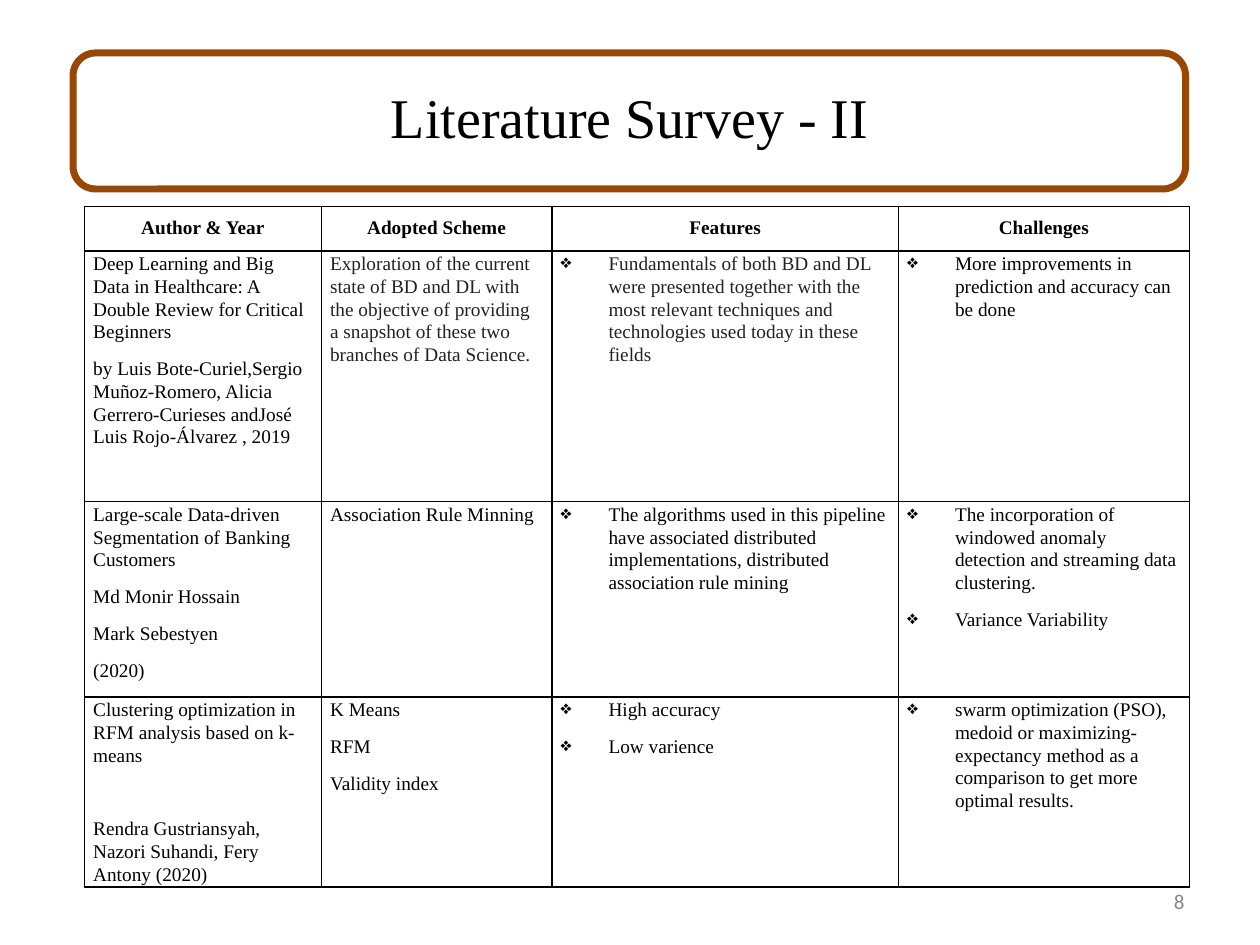
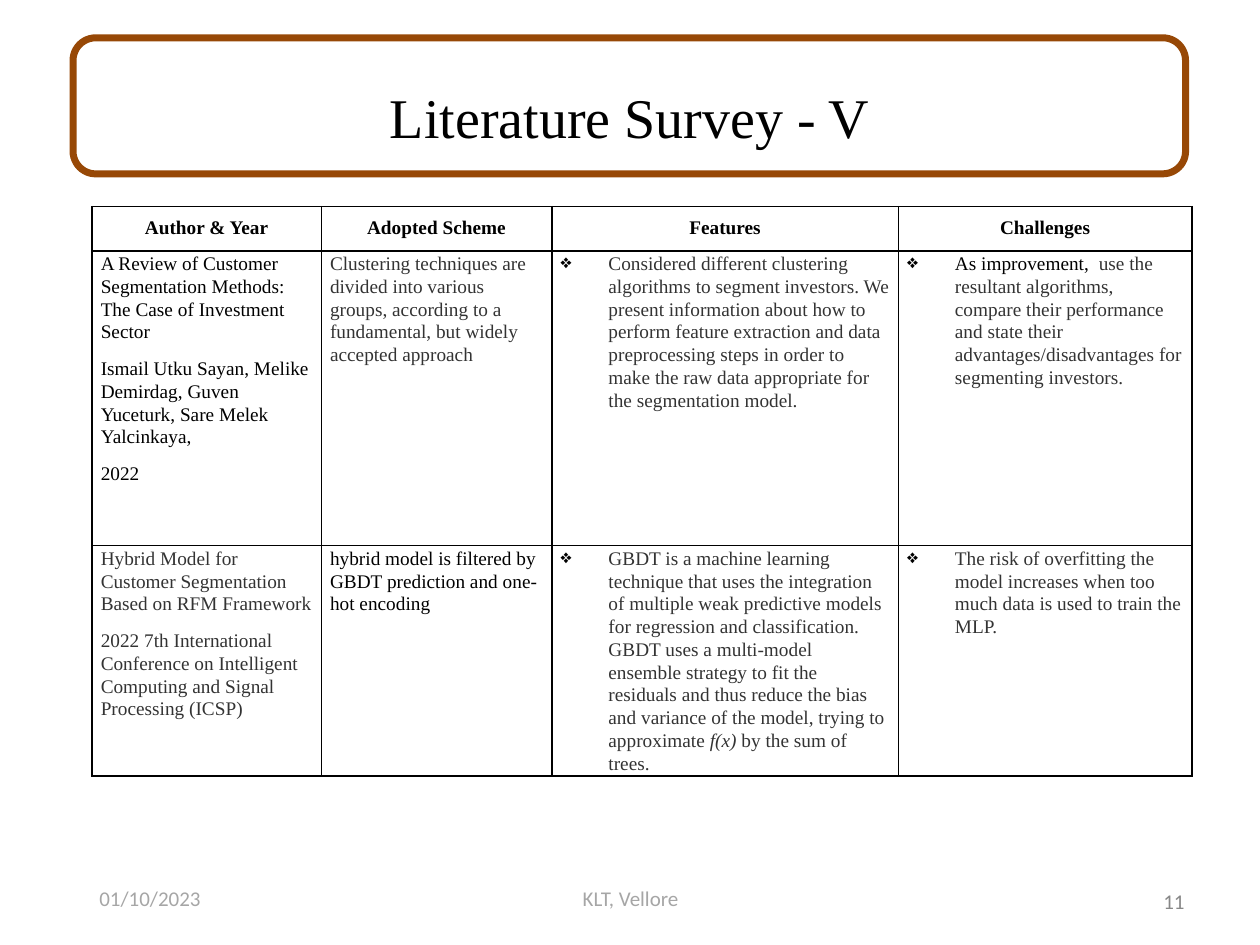
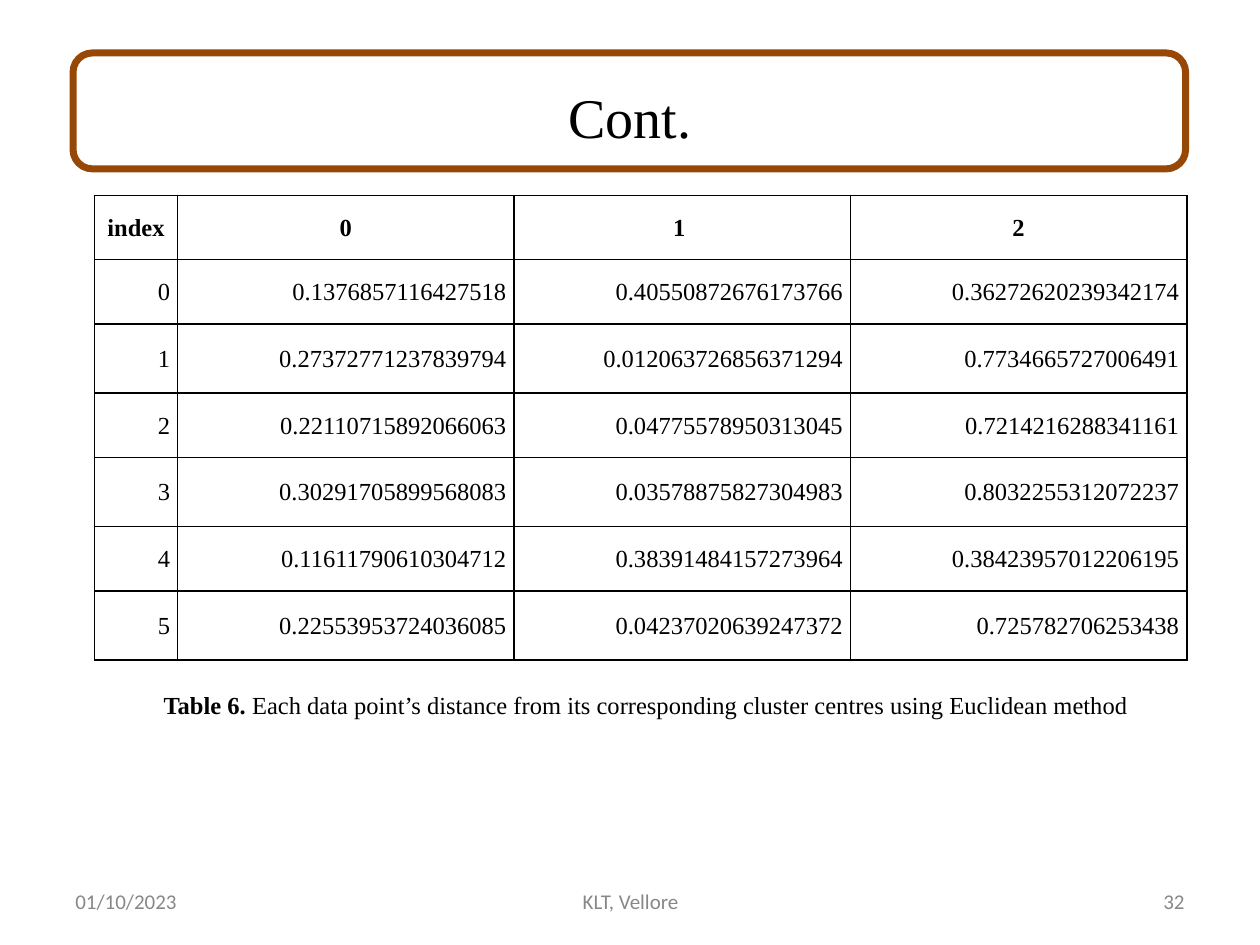
"""Builds two literature survey slides and one distance table slide."""
from lxml.etree import SubElement
from pptx import Presentation
from pptx.dml.color import RGBColor
from pptx.enum.shapes import MSO_SHAPE as SHAPE
from pptx.enum.text import MSO_ANCHOR as ANCHOR, PP_ALIGN as ALIGN
from pptx.oxml.ns import qn
from pptx.util import Inches, Pt

COLORS = {"black": "000000", "dark": "222222", "soft": "333333",
          "frame": "974806", "footer": "888888", "pale": "A6A6A6"}
SERIF, SANS = "Times New Roman", "Calibri"
LINE, GAP, WIDE_GAP = 13, 8, 29
BULLET_COLS = (2, 3)

HEADER = ["Author & Year", "Adopted Scheme", "Features", "Challenges"]

# A cell is (colour, paragraphs); a paragraph is a string or a list of (text, colour, italic).
SURVEY_2 = [
    [("black", ["Deep Learning and Big Data in Healthcare: A Double Review for Critical Beginners",
                "by Luis Bote-Curiel,Sergio Muñoz-Romero, Alicia Gerrero-Curieses andJosé "
                "Luis Rojo-Álvarez , 2019"]),
     ("dark", ["Exploration of the current state of BD and DL with the objective of providing "
               "a snapshot of these two branches of Data Science."]),
     ("dark", ["Fundamentals of both BD and DL were presented together with the most relevant "
               "techniques and technologies used today in these fields"]),
     ("black", ["More improvements in prediction and accuracy can be done"])],
    [("black", ["Large-scale Data-driven Segmentation of Banking Customers",
                "Md Monir Hossain", "Mark Sebestyen", "(2020)"]),
     ("black", ["Association Rule Minning"]),
     ("black", ["The algorithms used in this pipeline have associated distributed "
                "implementations, distributed association rule mining"]),
     ("black", ["The incorporation of windowed anomaly detection and streaming data clustering.",
                "Variance Variability"])],
    [("black", ["Clustering optimization in RFM analysis based on k-means",
                "Rendra Gustriansyah, Nazori Suhandi, Fery Antony (2020)"], WIDE_GAP),
     ("black", ["K Means", "RFM", "Validity index"]),
     ("black", ["High accuracy", "Low varience"]),
     ("black", ["swarm optimization (PSO), medoid or maximizing-expectancy method as a "
                "comparison to get more optimal results."])],
]

SURVEY_5 = [
    [("black", ["A Review of Customer Segmentation Methods: The Case of Investment Sector",
                "Ismail Utku Sayan, Melike Demirdag, Guven Yuceturk, Sare Melek Yalcinkaya,",
                "2022"]),
     ("soft", ["Clustering techniques are divided into various groups, according to a "
               "fundamental, but widely accepted approach"]),
     ("soft", ["Considered different clustering algorithms to segment investors. We present "
               "information about how to perform feature extraction and data preprocessing "
               "steps in order to make the raw data appropriate for the segmentation model."]),
     ("soft", [[("As improvement, ", "black", False),
                (" use the resultant algorithms, compare their performance and state their "
                 "advantages/disadvantages for segmenting investors.", "soft", False)]])],
    [("soft", ["Hybrid Model for Customer Segmentation Based on RFM Framework",
               "2022 7th International Conference on Intelligent Computing and Signal "
               "Processing (ICSP)"]),
     ("black", ["hybrid model is filtered by GBDT prediction and one-hot encoding"]),
     ("soft", [[("GBDT is a machine learning technique that uses the integration of multiple "
                 "weak predictive models for regression and classification. GBDT uses a "
                 "multi-model ensemble strategy to fit the residuals and thus reduce the bias "
                 "and variance of the model, trying to approximate ", "soft", False),
                ("f(x)", "soft", True), (" by the sum of trees.", "soft", False)]]),
     ("soft", ["The risk of overfitting the model increases when too much data is used to "
               "train the MLP."])],
]

DISTANCES = [
    ["index", "0", "1 ", "2"],
    ["0", "0.1376857116427518", "0.40550872676173766", "0.36272620239342174"],
    ["1", "0.27372771237839794", "0.012063726856371294", "0.7734665727006491"],
    ["2", "0.22110715892066063", "0.04775578950313045", "0.7214216288341161"],
    ["3", "0.30291705899568083", "0.03578875827304983", "0.8032255312072237"],
    ["4", "0.11611790610304712", "0.38391484157273964", "0.38423957012206195"],
    ["5", "0.22553953724036085", "0.04237020639247372", "0.725782706253438"],
]
CAPTION = [("Table 6. ", True),
           ("Each data point’s distance from its corresponding cluster centres using "
            "Euclidean method", False)]

DATE, PLACE = "01/10/2023", "KLT, Vellore"
DATE_BOX, PLACE_BOX, NUMBER_BOX = (0.5, 6.95, 2.33, 0.4), (3.42, 6.95, 3.17, 0.4), (7.17, 6.95, 2.33, 0.4)
PALE_DATE_BOX, PALE_PLACE_BOX = (0.69, 6.98, 2.33, 0.3), (3.42, 6.98, 3.17, 0.3)

SURVEYS = [
    {"title": "Literature Survey - II", "frame": (0.42, 1.08), "at": (0.67, 1.64),
     "cols": [1.88, 1.83, 2.75, 2.31], "rows": [0.35, 1.99, 1.55, 1.51], "body": SURVEY_2,
     "footers": [("8", NUMBER_BOX, ALIGN.RIGHT, "footer")]},
    {"title": "Literature Survey - V", "frame": (0.3, 1.08), "at": (0.73, 1.64),
     "cols": [1.82, 1.83, 2.75, 2.33], "rows": [0.35, 2.34, 1.83], "body": SURVEY_5,
     "footers": [("11", NUMBER_BOX, ALIGN.RIGHT, "footer"),
                 (DATE, PALE_DATE_BOX, ALIGN.LEFT, "pale"),
                 (PLACE, PALE_PLACE_BOX, ALIGN.CENTER, "pale")]},
]
DISTANCE = {"title": "Cont.", "frame": (0.42, 0.92), "at": (0.75, 1.55),
            "cols": [0.66] + [2.67] * 3, "rows": [0.51] + [0.51, 0.55] * 3,
            "footers": [("32", NUMBER_BOX, ALIGN.RIGHT, "footer"),
                        (DATE, DATE_BOX, ALIGN.LEFT, "footer"),
                        (PLACE, PLACE_BOX, ALIGN.CENTER, "footer")]}


def inches(values):
    return [Inches(v) for v in values]


def rgb(name):
    return RGBColor.from_string(COLORS[name])


def add_run(p, text, size, color="black", font=SERIF, bold=False, italic=False):
    r = p.add_run()
    r.text = text
    r.font.size, r.font.name = Pt(size), font
    r.font.bold, r.font.italic = bold, italic
    r.font.color.rgb = rgb(color)


def add_bullet(p):
    pPr = p._p.get_or_add_pPr()
    pPr.set("marL", str(Inches(0.38)))
    pPr.set("indent", str(-Inches(0.38)))
    clr = SubElement(pPr, qn("a:buClr"))
    SubElement(clr, qn("a:srgbClr"), val=COLORS["black"])
    SubElement(pPr, qn("a:buChar"), char="❖")


def add_box(s, box, align=ALIGN.LEFT, anchor=ANCHOR.MIDDLE):
    tf = s.shapes.add_textbox(*inches(box)).text_frame
    tf.word_wrap, tf.vertical_anchor = True, anchor
    p = tf.paragraphs[0]
    p.alignment = align
    return p


def add_base(prs, data):
    s = prs.slides.add_slide(prs.slide_layouts[5])
    title = s.shapes.title
    title.left, title.top, title.width, title.height = inches((0.5, 0.3, 9, 1.25))
    title.text_frame.vertical_anchor = ANCHOR.MIDDLE
    p = title.text_frame.paragraphs[0]
    p.alignment = ALIGN.CENTER
    add_run(p, data["title"], 32)

    top, height = data["frame"]
    frame = s.shapes.add_shape(SHAPE.FLOWCHART_ALTERNATE_PROCESS, *inches((0.58, top, 8.83, height)))
    frame.shadow.inherit = False
    frame.fill.background()
    frame.line.color.rgb, frame.line.width = rgb("frame"), Pt(4)

    for text, box, align, color in data["footers"]:
        add_run(add_box(s, box, align), text, 12, color, SANS)
    return s


def add_grid(s, data):
    cols, rows = data["cols"], data["rows"]
    table = s.shapes.add_table(len(rows), len(cols), *inches((*data["at"], sum(cols), sum(rows)))).table
    table.first_row = table.horz_banding = False
    for col, width in zip(table.columns, cols):
        col.width = Inches(width)
    for row, height in zip(table.rows, rows):
        row.height = Inches(height)
    for cell in table.iter_cells():
        tcPr = cell._tc.get_or_add_tcPr()
        for side in ("lnL", "lnR", "lnT", "lnB"):
            ln = SubElement(tcPr, qn("a:" + side), w=str(Pt(1)))
            SubElement(SubElement(ln, qn("a:solidFill")), qn("a:srgbClr"), val=COLORS["black"])
        cell.fill.background()
    return table


def set_margins(cell, side, top, bottom):
    cell.margin_left = cell.margin_right = Inches(side)
    cell.margin_top, cell.margin_bottom = Inches(top), Inches(bottom)


def fill_survey_cell(cell, bulleted, color, paragraphs, gap=GAP):
    set_margins(cell, 0.07, 0.01, 0)
    tf = cell.text_frame
    for i, content in enumerate(paragraphs):
        p = tf.add_paragraph() if i else tf.paragraphs[0]
        p.line_spacing = Pt(LINE)
        p.space_before = Pt(gap if i else 0)
        if bulleted:
            add_bullet(p)
        runs = [(content, color, False)] if isinstance(content, str) else content
        for text, run_color, italic in runs:
            add_run(p, text, 11, run_color, italic=italic)


def build_survey(prs, data):
    table = add_grid(add_base(prs, data), data)
    for c, text in enumerate(HEADER):
        cell = table.cell(0, c)
        set_margins(cell, 0.07, 0, 0)
        p = cell.text_frame.paragraphs[0]
        p.alignment, p.line_spacing = ALIGN.CENTER, 1.5
        add_run(p, text, 11, bold=True)
    for r, row in enumerate(data["body"], 1):
        for c, content in enumerate(row):
            fill_survey_cell(table.cell(r, c), c in BULLET_COLS, *content)


def build_distances(prs, data):
    s = add_base(prs, data)
    p = add_box(s, (1.2, 5.43, 8.04, 0.34), anchor=ANCHOR.TOP)
    for text, bold in CAPTION:
        add_run(p, text, 14, bold=bold)
    table = add_grid(s, data)
    for r, row in enumerate(DISTANCES):
        for c, text in enumerate(row):
            cell = table.cell(r, c)
            set_margins(cell, 0.06, 0.02, 0.02)
            cell.vertical_anchor = ANCHOR.MIDDLE
            p = cell.text_frame.paragraphs[0]
            p.alignment = ALIGN.RIGHT if r else ALIGN.CENTER
            p.line_spacing, p.space_after = 1.05, Pt(GAP)
            add_run(p, text, 14, bold=r == 0)


def main():
    prs = Presentation()
    prs.slide_width, prs.slide_height = Inches(10), Inches(7.5)
    for data in SURVEYS:
        build_survey(prs, data)
    build_distances(prs, DISTANCE)
    prs.save("out.pptx")


if __name__ == "__main__":
    main()
